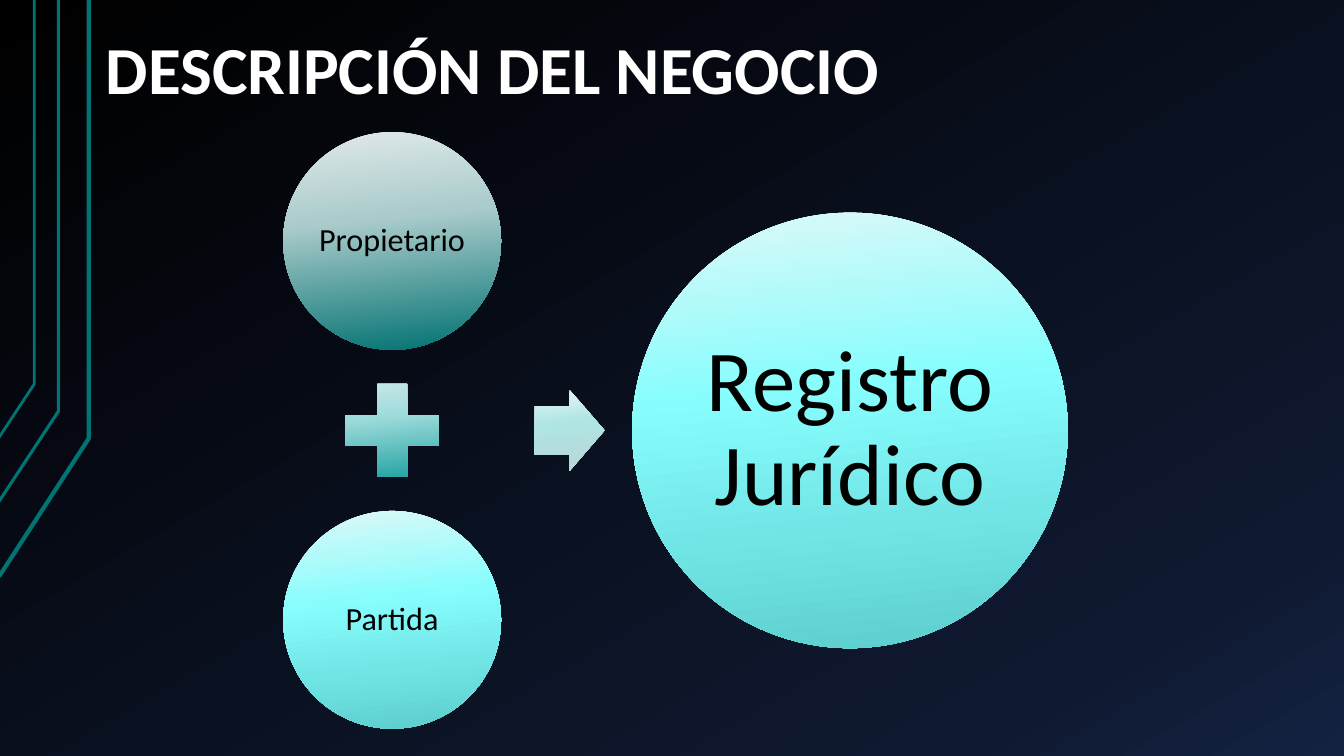
from lxml import etree
from pptx import Presentation
from pptx.dml.color import RGBColor
from pptx.enum.shapes import MSO_SHAPE
from pptx.enum.text import MSO_ANCHOR, PP_ALIGN
from pptx.oxml.ns import qn
from pptx.util import Inches, Pt

OVAL, PLUS, ARROW = MSO_SHAPE.OVAL, MSO_SHAPE.MATH_PLUS, MSO_SHAPE.RIGHT_ARROW
LEFT, CENTER = PP_ALIGN.LEFT, PP_ALIGN.CENTER
MIDDLE, BOTTOM = MSO_ANCHOR.MIDDLE, MSO_ANCHOR.BOTTOM

WIDTH, HEIGHT = 13.33, 7.5
FONT = "Calibri"
TITLE = "DESCRIPCIÓN DEL NEGOCIO"
LINE_COLOR = "007373"

BACKGROUND = [(0, "000000"), (85, "0F1931"), (100, "142242")]
TEAL = [(0, "E0E9E9"), (40, "AACBCB"), (100, "007171")]
PLUS_TEAL = [(0, "DFEEEE"), (40, "9DDBDB"), (100, "009292")]
AQUA = [(0, "DEF8F8"), (40, "88FDFD"), (100, "5BCDCD")]
PALE = [(0, "EBF6F6"), (40, "AFE5E5"), (100, "BAD5D5")]

# Corner lines: start x, start y, bend x, bend y, weight in points
CORNER_LINES = [
    (-0.01, 5.72, 0.88, 4.35, 3),
    (-0.02, 4.99, 0.58, 4.08, 2.25),
    (-0.01, 4.34, 0.34, 3.81, 2),
]

# The equation: two terms stacked around a plus, an arrow, and the result
TERM = 2.16
RESULT = 2 * TERM
PLUS_SIZE = 0.58 * TERM
GAP = 0.08 * TERM
TERM_X, ARROW_X, RESULT_X = 3.89, 5.65, 8.43
AXIS_Y = 4.27
STEP = (TERM + PLUS_SIZE) / 2 + GAP

# Preset, centre x, centre y, width, height, gradient, text, size, inset
PARTS = [
    (OVAL, TERM_X, AXIS_Y - STEP, TERM, TERM, TEAL, "Propietario", 23, 0.03),
    (PLUS, TERM_X, AXIS_Y, PLUS_SIZE, PLUS_SIZE, PLUS_TEAL, "", 0, 0),
    (OVAL, TERM_X, AXIS_Y + STEP, TERM, TERM, AQUA, "Partida", 23, 0.03),
    (ARROW, ARROW_X, AXIS_Y, 0.69, 0.8, PALE, "", 0, 0),
    (OVAL, RESULT_X, AXIS_Y, RESULT, RESULT, AQUA, "Registro Jurídico", 62, 0.09),
]


def color(value):
    return RGBColor.from_string(value)


def set_gradient(fill, element, stops, angle):
    """Fill with any number of stops; the angle runs clockwise in degrees."""
    fill.gradient()
    fill.gradient_angle = 360 - angle
    stop_list = next(element.iter(qn("a:gsLst")))
    for old_stop in list(stop_list):
        stop_list.remove(old_stop)
    for percent, value in stops:
        stop = etree.SubElement(stop_list, qn("a:gs"), pos=str(percent * 1000))
        etree.SubElement(stop, qn("a:srgbClr"), val=value)


def write(shape, text, size, fill="000000", bold=False, align=CENTER,
          anchor=MIDDLE, inset_x=0.03, inset_y=0.03):
    frame = shape.text_frame
    frame.word_wrap = True
    frame.vertical_anchor = anchor
    frame.margin_left = frame.margin_right = Inches(inset_x)
    frame.margin_top = frame.margin_bottom = Inches(inset_y)
    paragraph = frame.paragraphs[0]
    paragraph.alignment = align
    paragraph.line_spacing = 0.9
    run = paragraph.add_run()
    run.text = text
    run.font.name = FONT
    run.font.size = Pt(size)
    run.font.bold = bold
    run.font.color.rgb = color(fill)


def add_corner_line(slide, start_x, start_y, bend_x, bend_y, weight):
    builder = slide.shapes.build_freeform(Inches(start_x), Inches(start_y))
    bend = (Inches(bend_x), Inches(bend_y))
    builder.add_line_segments([bend, (Inches(bend_x), 0)], close=False)
    shape = builder.convert_to_shape()
    shape.shadow.inherit = False
    shape.fill.background()
    shape.line.color.rgb = color(LINE_COLOR)
    shape.line.width = Pt(weight)


def add_part(slide, preset, center_x, center_y, width, height, stops, text, size, inset):
    shape = slide.shapes.add_shape(
        preset, Inches(center_x - width / 2), Inches(center_y - height / 2),
        Inches(width), Inches(height))
    shape.shadow.inherit = False
    shape.line.fill.background()
    set_gradient(shape.fill, shape.element, stops, 84)
    if preset == ARROW:
        shape.adjustments[0] = 0.6
        shape.adjustments[1] = 0.5
    if text:
        write(shape, text, size, inset_x=inset, inset_y=inset)


def main():
    presentation = Presentation()
    presentation.slide_width = Inches(WIDTH)
    presentation.slide_height = Inches(HEIGHT)
    slide = presentation.slides.add_slide(presentation.slide_layouts[6])
    set_gradient(slide.background.fill, slide.element, BACKGROUND, 60)
    for line in CORNER_LINES:
        add_corner_line(slide, *line)
    title = slide.shapes.add_textbox(
        Inches(0.92), Inches(-0.19), Inches(0.85 * WIDTH), Inches(1.34))
    write(title, TITLE, 48, fill="FFFFFF", bold=True, align=LEFT,
          anchor=BOTTOM, inset_x=0.13, inset_y=0.07)
    for part in PARTS:
        add_part(slide, *part)
    presentation.save("out.pptx")


if __name__ == "__main__":
    main()
